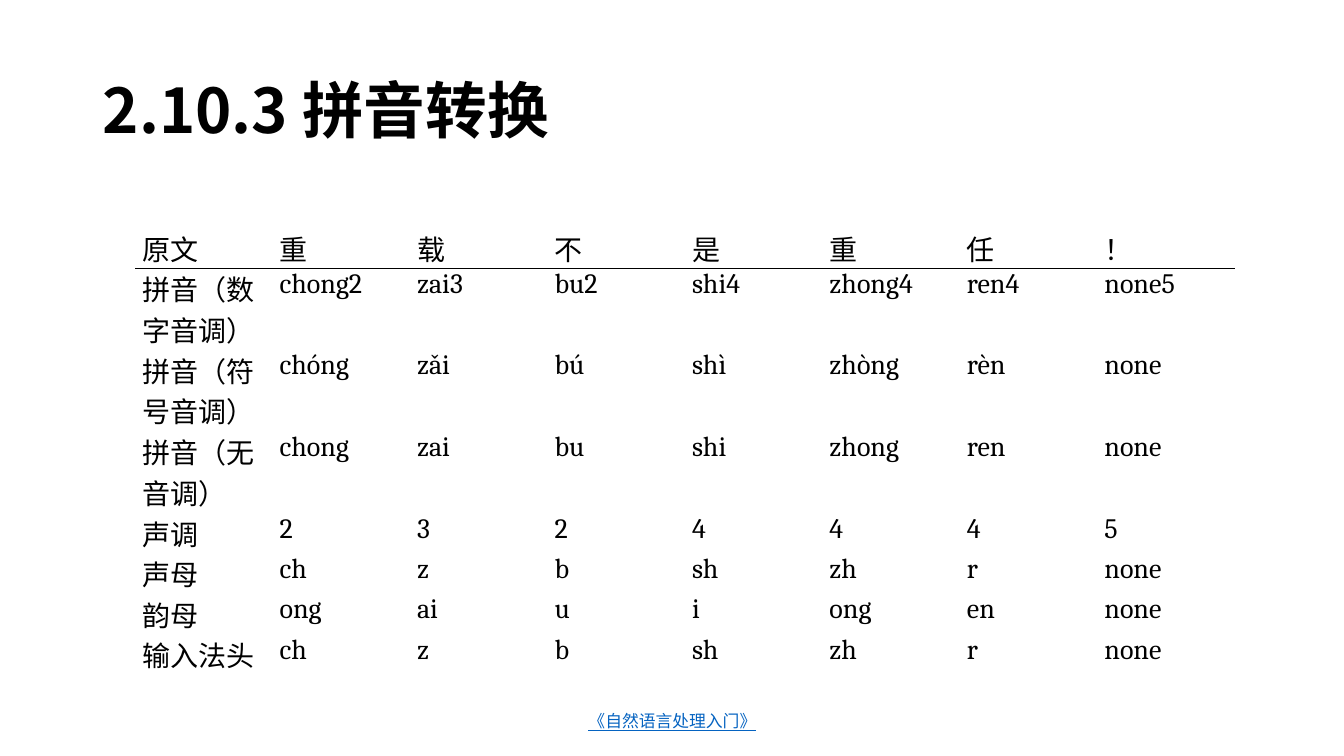
from lxml.etree import SubElement
from pptx import Presentation
from pptx.dml.color import RGBColor
from pptx.enum.text import MSO_ANCHOR, PP_ALIGN
from pptx.oxml.ns import qn
from pptx.util import Inches, Pt

CHINESE_FONT = "Noto Sans CJK SC"
LATIN_FONT = "Cambria"
BLACK = "000000"
LINK_BLUE = "0563C1"
NO_GRID_STYLE = "{2D5ABB26-0587-4C30-8999-92F81FD0307C}"
LABEL_LINE_LENGTH = 4

PINYIN_ROWS = [
    ["原文", "重", "载", "不", "是", "重", "任", "！"],
    ["拼音（数字音调）", "chong2", "zai3", "bu2", "shi4", "zhong4", "ren4", "none5"],
    ["拼音（符号音调）", "chóng", "zǎi", "bú", "shì", "zhòng", "rèn", "none"],
    ["拼音（无音调）", "chong", "zai", "bu", "shi", "zhong", "ren", "none"],
    ["声调", "2", "3", "2", "4", "4", "4", "5"],
    ["声母", "ch", "z", "b", "sh", "zh", "r", "none"],
    ["韵母", "ong", "ai", "u", "i", "ong", "en", "none"],
    ["输入法头", "ch", "z", "b", "sh", "zh", "r", "none"],
]


def color(value):
    return RGBColor.from_string(value)


def write_text(text_frame, text, size, font=CHINESE_FONT, fill=BLACK, bold=False,
               underline=False, align=PP_ALIGN.LEFT, spacing=None, line_spacing=None):
    text_frame.word_wrap = True
    paragraph = text_frame.paragraphs[0]
    paragraph.alignment = align
    paragraph.line_spacing = line_spacing
    if spacing:
        paragraph.space_before = paragraph.space_after = Pt(spacing)
    run = paragraph.add_run()
    run.text = text
    run.font.name = font
    run.font.size = Pt(size)
    run.font.bold = bold
    run.font.underline = underline
    run.font.color.rgb = color(fill)
    SubElement(run.font._element, qn("a:ea"), typeface=font)


def add_text_box(slide, box, text, size, **text_format):
    shape = slide.shapes.add_textbox(*map(Inches, box))
    shape.text_frame.vertical_anchor = MSO_ANCHOR.MIDDLE
    write_text(shape.text_frame, text, size, **text_format)


def add_title(slide, box):
    add_text_box(slide, box, "2.10.3 拼音转换", 44, bold=True, line_spacing=0.9)


def add_source(slide, box):
    add_text_box(slide, box, "《自然语言处理入门》", 12, fill=LINK_BLUE,
                 underline=True, align=PP_ALIGN.CENTER)


def set_borders(cell, ruled_side):
    properties = cell._tc.get_or_add_tcPr()
    for position, side in enumerate(("lnL", "lnR", "lnT", "lnB")):
        border = SubElement(properties, qn(f"a:{side}"), w=str(Pt(1)))
        if side == ruled_side:
            solid_fill = SubElement(border, qn("a:solidFill"))
            SubElement(solid_fill, qn("a:srgbClr"), val=BLACK)
        else:
            SubElement(border, qn("a:noFill"))
        properties.insert(position, border)


def fill_cell(cell, text, is_header, is_label):
    cell.margin_left = cell.margin_right = Inches(0.07)
    cell.margin_top = cell.margin_bottom = 0
    cell.vertical_anchor = MSO_ANCHOR.BOTTOM if is_header else MSO_ANCHOR.TOP
    cell.fill.background()
    font = CHINESE_FONT if is_header or is_label else LATIN_FONT
    write_text(cell.text_frame, text, 20, font=font, spacing=1.8)


def add_pinyin_table(slide, box):
    heights = [Inches(0.81 if len(texts[0]) > LABEL_LINE_LENGTH else 0.4)
               for texts in PINYIN_ROWS]
    left, top, width = map(Inches, box)
    frame = slide.shapes.add_table(
        len(PINYIN_ROWS), len(PINYIN_ROWS[0]), left, top, width, sum(heights))
    for style in frame.element.iter(qn("a:tableStyleId")):
        style.text = NO_GRID_STYLE
    table = frame.table
    table.first_row = table.horz_banding = False
    ruled_sides = {0: "lnB", 1: "lnT"}
    for row_index, texts in enumerate(PINYIN_ROWS):
        table.rows[row_index].height = heights[row_index]
        for column_index, text in enumerate(texts):
            cell = table.cell(row_index, column_index)
            fill_cell(cell, text, row_index == 0, column_index == 0)
            set_borders(cell, ruled_sides.get(row_index))


def main():
    presentation = Presentation()
    presentation.slide_width = Inches(13.33)
    presentation.slide_height = Inches(7.5)
    slide = presentation.slides.add_slide(presentation.slide_layouts[6])
    add_title(slide, (0.92, 0.4, 11.5, 1.45))
    add_source(slide, (4.42, 6.95, 4.5, 0.4))
    add_pinyin_table(slide, (1.34, 2.26, 10.91))
    presentation.save("out.pptx")


if __name__ == "__main__":
    main()
